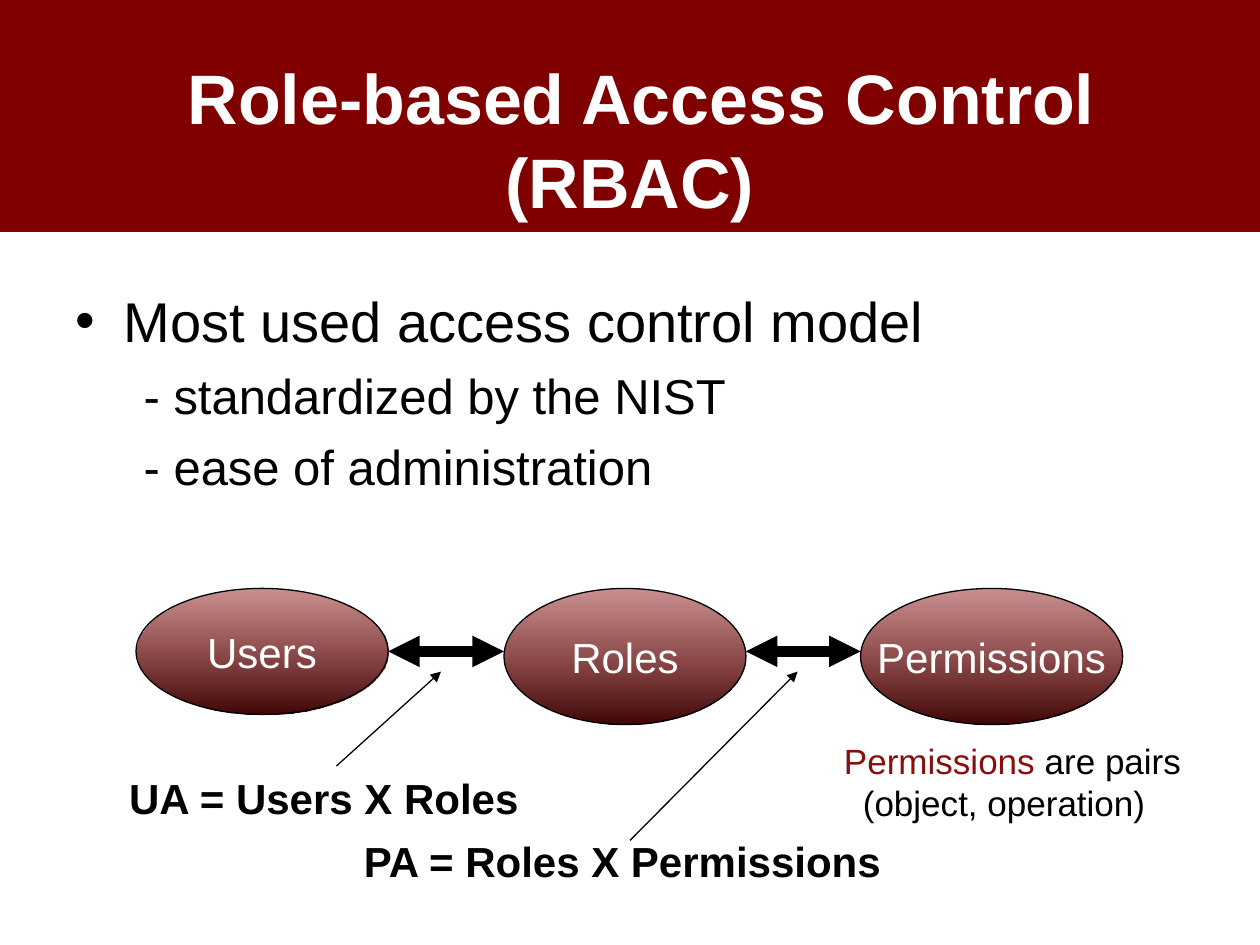
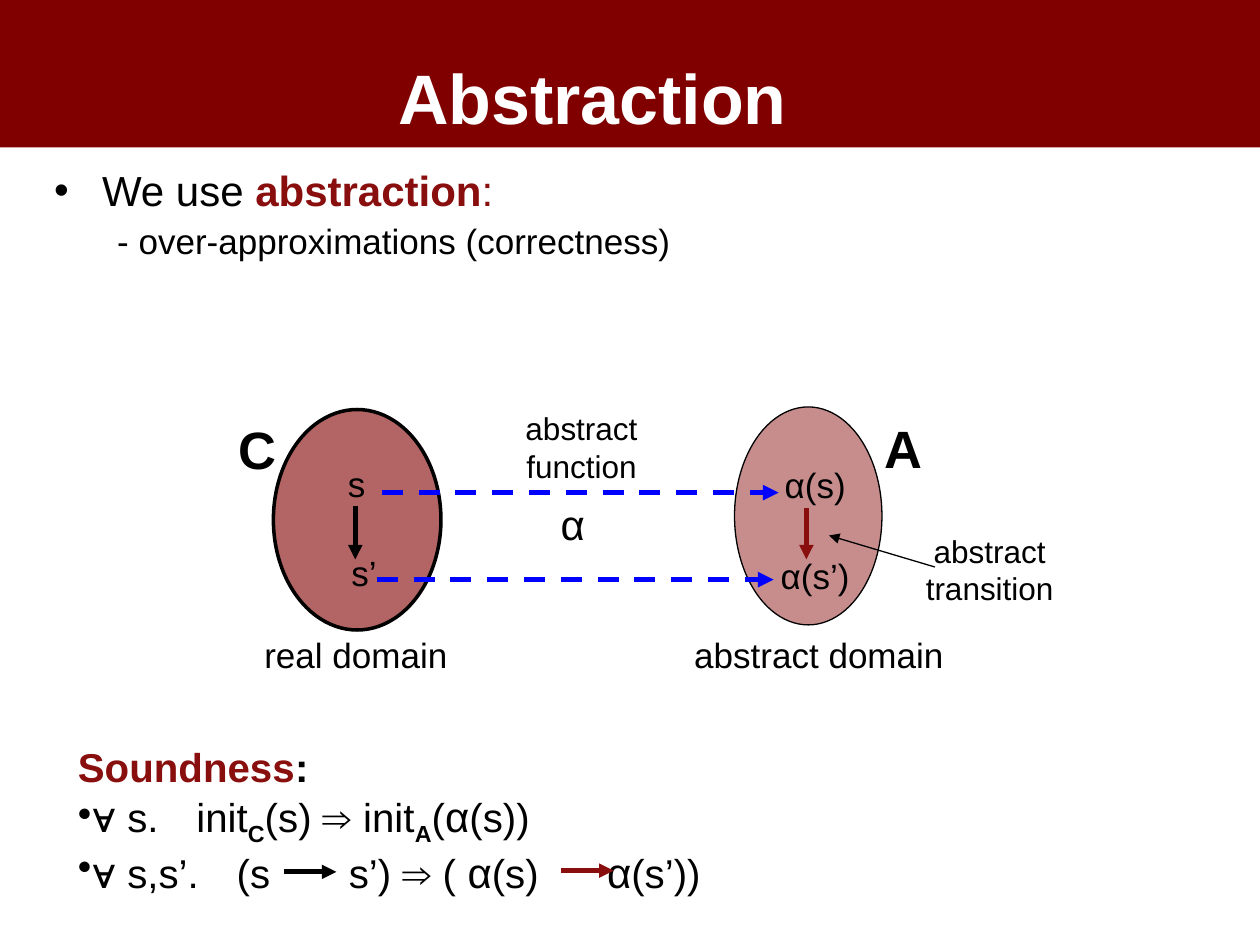
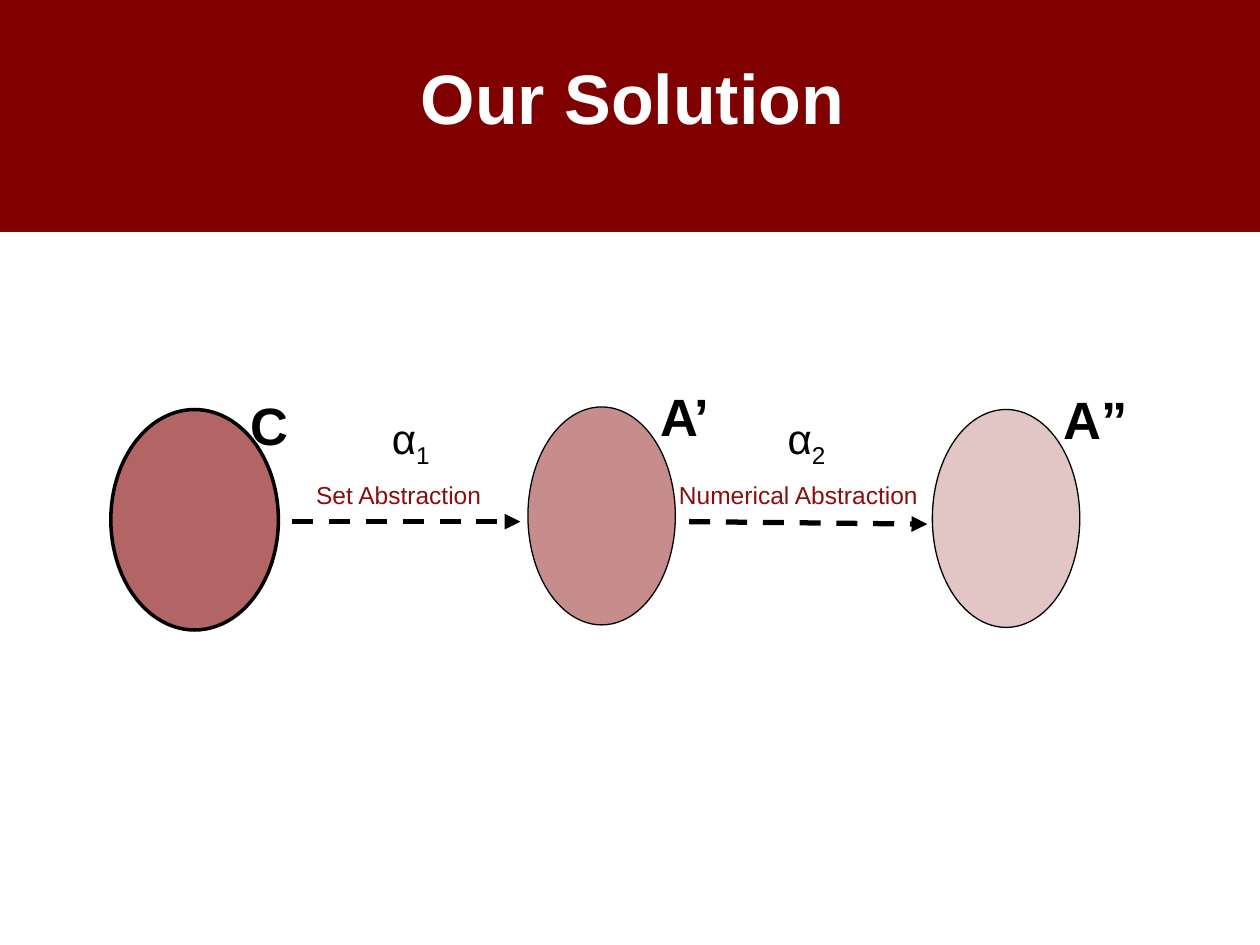
from dataclasses import dataclass

from lxml import etree
from pptx import Presentation
from pptx.dml.color import RGBColor
from pptx.enum.dml import MSO_LINE
from pptx.enum.shapes import MSO_CONNECTOR, MSO_SHAPE
from pptx.enum.text import MSO_ANCHOR, MSO_AUTO_SIZE, PP_ALIGN
from pptx.oxml.ns import qn
from pptx.util import Inches, Pt

LEFT, CENTER = PP_ALIGN.LEFT, PP_ALIGN.CENTER
TOP, MIDDLE = MSO_ANCHOR.TOP, MSO_ANCHOR.MIDDLE
OVAL, STRAIGHT = MSO_SHAPE.OVAL, MSO_CONNECTOR.STRAIGHT
NO_AUTOFIT, DASH = MSO_AUTO_SIZE.NONE, MSO_LINE.DASH


@dataclass(frozen=True)
class Theme:
    font: str = "Arial"
    band: str = "800000"
    accent: str = "890E0E"
    shade: str = "3F0606"
    arrow: str = "0000FF"
    ink: str = "000000"
    paper: str = "FFFFFF"
    title: int = 40
    domain: int = 30
    large: int = 24
    sound: int = 23
    label: int = 20
    note: int = 18
    caption: int = 14
    thin: float = 0.75
    outline: float = 2
    medium: float = 2.75
    mapping: float = 3
    thick: float = 6
    gradient_alpha: int = 46


THEME = Theme()
WIDTH, HEIGHT = 10, 7.5
INSET_X, INSET_Y = 0.1, 0.05
TITLE_TOP = 0.43
LINE_FACTOR = 1.2

ACCENT = {"color": THEME.accent}
PLAIN = {"bold": False}
SUB = {"base": -25000}
BOLD_SUB = {"bold": True, "base": -25000}
ALPHA = {"size": THEME.large}

TITLES = [
    {"lines": ["Role-based Access Control", "(RBAC)"], "height": 1.84, "indent": 1.39},
    {"lines": ["Abstraction"], "height": 1.17, "indent": 3.06},
    {"lines": ["Our Solution"], "height": 1.84, "indent": 3.24},
]

RBAC_BODY = [
    {"spans": ["Most used access control model"], "size": 32, "margin": 0.38, "hang": -0.38, "bullet": "•"},
    {"spans": ["- standardized by the NIST"], "size": 28, "margin": 0.54, "before": 7},
    {"spans": ["- ease of administration"], "size": 28, "margin": 0.54, "before": 7},
]
RBAC_SETS = [
    ("Users", 1.08, 2, 1),
    ("Roles", 4, 1.92, 1.08),
    ("Permissions", 6.83, 2.08, 1.08),
]
RBAC_SET_TOP, RBAC_ARROW_Y = 4.67, 5.17
RBAC_RELATIONS = [
    ("UA = Users X Roles", 0.92, 6.08, 3.3),
    ("PA = Roles X Permissions", 2.77, 6.58, 4.34),
]
RBAC_POINTERS = [((2.67, 6.08), (3.5, 5.33)), ((5, 6.67), (6.33, 5.33))]
PERMISSION_NOTE = [
    {"spans": [("Permissions ", ACCENT), "are pairs"]},
    {"spans": ["(object, operation)"], "margin": 0.15},
]

ABSTRACTION_BODY = [
    {"spans": ["We use ", ("abstraction", {**ACCENT, "bold": True}), (":", ACCENT)],
     "size": 24, "margin": 0.38, "hang": -0.38, "bullet": "•", "spacing": 0.9},
    {"spans": ["- over-approximations (correctness)"],
     "size": 20, "level": 1, "margin": 0.5, "before": 5, "spacing": 0.9},
]
SOUNDNESS = [
    {"spans": [("Soundness", ACCENT), ":"], "bold": True},
    {"spans": ["∀ s.\tinit", ("C", BOLD_SUB), "(s) ⇒ init", ("A", BOLD_SUB), "(", ("α", ALPHA), "(s))"],
     "bullet": "•", "tabs": [0.94]},
    {"spans": ["∀ s,s’.\t(s\ts’) ⇒ ( ", ("α", ALPHA), "(s)\t", ("α", ALPHA), "(s’))"],
     "bullet": "•", "tabs": [1.26, 2.15, 4.2]},
]
ABSTRACTION_LABELS = [
    (["real domain"], 2, 4.98, 1.65, THEME.label),
    (["abstract domain"], 5.41, 4.98, 2.18, THEME.label),
    (["α"], 4.34, 3.91, 0.41, THEME.large),
    (["s"], 2.66, 3.62, 0.34, THEME.label),
    (["s’"], 2.59, 4.33, 0.6, THEME.label),
    (["α(s)"], 6.12, 3.63, 0.7, THEME.label),
    (["α(s’)"], 6.09, 4.35, 0.76, THEME.label),
    (["abstract", "function"], 4.07, 3.2, 1.09, THEME.note),
    (["abstract", "transition"], 7.25, 4.17, 1.21, THEME.note),
]
ABSTRACTION_ARROWS = [
    ((2.25, 6.92), (2.67, 6.92), THEME.ink, THEME.medium, False),
    ((4.45, 6.91), (4.87, 6.91), THEME.accent, THEME.medium, False),
    ((2.82, 4.02), (2.82, 4.44), THEME.ink, THEME.medium, False),
    ((6.4, 4.03), (6.4, 4.44), THEME.accent, THEME.medium, False),
    ((3.03, 3.91), (6.18, 3.91), THEME.arrow, THEME.mapping, True),
    ((2.99, 4.6), (6.14, 4.6), THEME.arrow, THEME.mapping, True),
    ((7.42, 4.5), (6.58, 4.25), THEME.ink, THEME.thin, False),
]

DOMAIN_STYLES = {
    "real": (1.33, 1.75, 64, THEME.outline),
    "abstract": (1.17, 1.73, 47, THEME.thin),
    "numeric": (1.17, 1.73, 24, THEME.thin),
}
ABSTRACTION_DOMAINS = [
    ("abstract", 5.83, 3.23, "A", 6.92, 3.25, 0.5),
    ("real", 2.17, 3.25, "C", 1.79, 3.26, 0.5),
]
SOLUTION_DOMAINS = [
    ("real", 0.88, 3.25, "C", 1.89, 3.07, 0.5),
    ("abstract", 4.19, 3.23, "A’", 5.13, 3, 0.61),
    ("numeric", 7.4, 3.25, "A”", 8.34, 3.02, 0.71),
]
SOLUTION_STEPS = [
    ("1", 3, "Set Abstraction", 2.41, 1.52, (2.32, 4.14), (4.13, 4.14)),
    ("2", 6.14, "Numerical Abstraction", 5.29, 2.11, (5.47, 4.14), (7.36, 4.16)),
]


def rgb(color):
    return RGBColor.from_string(color)


def inches(*lengths):
    return [Inches(length) for length in lengths]


def write_paragraph(para, spans, size, color=THEME.ink, bold=False, align=LEFT, margin=0, hang=0,
                    bullet=None, tabs=(), before=0, spacing=None, level=0):
    para.level = level
    props = para._p.get_or_add_pPr()
    props.set("marL", str(Inches(margin)))
    props.set("indent", str(Inches(hang)))
    if bullet:
        etree.SubElement(props, qn("a:buChar")).set("char", bullet)
    else:
        etree.SubElement(props, qn("a:buNone"))
    if tabs:
        stops = etree.SubElement(props, qn("a:tabLst"))
        for stop in tabs:
            etree.SubElement(stops, qn("a:tab"), pos=str(Inches(stop)), algn="l")
    para.alignment = align
    para.space_before = Pt(before)
    if spacing:
        para.line_spacing = spacing
    para.font.name = THEME.font
    para.font.size = Pt(size)
    para.font.bold = bold
    para.font.color.rgb = rgb(color)
    for span in spans:
        text, style = (span, {}) if isinstance(span, str) else span
        run = para.add_run()
        run.text = text
        if "color" in style:
            run.font.color.rgb = rgb(style["color"])
        if "bold" in style:
            run.font.bold = style["bold"]
        if "size" in style:
            run.font.size = Pt(style["size"])
        if "base" in style:
            run._r.get_or_add_rPr().set("baseline", str(style["base"]))


def write_text(box, paragraphs, anchor=TOP, wrap=True, top_inset=INSET_Y, **shared):
    frame = box.text_frame
    frame.auto_size = NO_AUTOFIT
    frame.word_wrap = wrap
    frame.vertical_anchor = anchor
    frame.margin_left = frame.margin_right = Inches(INSET_X)
    frame.margin_top, frame.margin_bottom = inches(top_inset, INSET_Y)
    for index, paragraph in enumerate(paragraphs):
        para = frame.add_paragraph() if index else frame.paragraphs[0]
        write_paragraph(para, **{**shared, **paragraph})


def place(shape, left, top, width, height):
    shape.left, shape.top, shape.width, shape.height = inches(left, top, width, height)


def add_label(page, paragraphs, left, top, width, size, wrap=False, anchor=MIDDLE, **shared):
    height = sum(para.get("size", size) for para in paragraphs) * LINE_FACTOR / 72 + 2 * INSET_Y
    box = page.shapes.add_textbox(*inches(left, top, width, height))
    write_text(box, paragraphs, anchor, wrap, size=size, **shared)


def lines_of(*texts):
    return [{"spans": [text]} for text in texts]


def set_alpha(color_element, percent):
    etree.SubElement(color_element, qn("a:alpha")).set("val", str(percent * 1000))


def add_ellipse(page, left, top, width, height, weight):
    ellipse = page.shapes.add_shape(OVAL, *inches(left, top, width, height))
    ellipse.shadow.inherit = False
    ellipse.line.color.rgb = rgb(THEME.ink)
    ellipse.line.width = Pt(weight)
    return ellipse


def add_arrow(page, start, end, color=THEME.ink, weight=THEME.thin, dashed=False, double=False):
    arrow = page.shapes.add_connector(STRAIGHT, *inches(*start, *end))
    arrow.line.color.rgb = rgb(color)
    arrow.line.width = Pt(weight)
    if dashed:
        arrow.line.dash_style = DASH
    outline = arrow.line._get_or_add_ln()
    for tag in ("a:headEnd", "a:tailEnd") if double else ("a:tailEnd",):
        etree.SubElement(outline, qn(tag)).set("type", "triangle")
    etree.SubElement(arrow.element.spPr, qn("a:effectLst"))


def add_domain(page, kind, left, top, name, name_left, name_top, name_width):
    width, height, alpha, weight = DOMAIN_STYLES[kind]
    ellipse = add_ellipse(page, left, top, width, height, weight)
    ellipse.fill.solid()
    ellipse.fill.fore_color.rgb = rgb(THEME.accent)
    set_alpha(ellipse.element.spPr.find(qn("a:solidFill"))[0], alpha)
    add_label(page, lines_of(name), name_left, name_top, name_width, THEME.domain,
              bold=True, align=CENTER)


def add_page(deck, layout, lines, height, indent):
    page = deck.slides.add_slide(deck.slide_layouts[layout])
    title = page.shapes.title
    place(title, 0, 0, WIDTH, height)
    title.fill.solid()
    title.fill.fore_color.rgb = rgb(THEME.band)
    paragraphs = lines_of(*lines)
    paragraphs[0]["margin"] = indent
    for paragraph in paragraphs[1:]:
        paragraph["align"] = CENTER
    write_text(title, paragraphs, top_inset=TITLE_TOP, size=THEME.title, color=THEME.paper, bold=True)
    return page


def add_body(page, paragraphs, left, top, width, height):
    body = page.placeholders[1]
    place(body, left, top, width, height)
    write_text(body, paragraphs)


def build_rbac(deck):
    page = add_page(deck, 1, **TITLES[0])
    add_body(page, RBAC_BODY, 0.5, 2.22, 9, 2.3)
    for name, left, width, height in RBAC_SETS:
        ellipse = add_ellipse(page, left, RBAC_SET_TOP, width, height, THEME.thin)
        ellipse.fill.gradient()
        ellipse.fill.gradient_angle = 270
        first, last = ellipse.fill.gradient_stops
        first.color.rgb, last.color.rgb = rgb(THEME.accent), rgb(THEME.shade)
        first.position, last.position = 0, 1
        set_alpha(ellipse.element.spPr.find(".//" + qn("a:srgbClr")), THEME.gradient_alpha)
        write_text(ellipse, lines_of(name), MIDDLE, False,
                   size=THEME.large, color=THEME.paper, align=CENTER)
    for (_, left, width, _), (_, next_left, _, _) in zip(RBAC_SETS, RBAC_SETS[1:]):
        add_arrow(page, (left + width, RBAC_ARROW_Y), (next_left, RBAC_ARROW_Y),
                  weight=THEME.thick, double=True)
    add_label(page, PERMISSION_NOTE, 6.6, 5.82, 2.87, THEME.label, anchor=TOP)
    for text, left, top, width in RBAC_RELATIONS:
        add_label(page, lines_of(text), left, top, width, THEME.large, bold=True, align=CENTER)
    for start, end in RBAC_POINTERS:
        add_arrow(page, start, end)


def build_abstraction(deck):
    page = add_page(deck, 1, **TITLES[1])
    add_body(page, ABSTRACTION_BODY, 0.33, 1.3, 9.5, 1.8)
    for domain in ABSTRACTION_DOMAINS:
        add_domain(page, *domain)
    add_label(page, SOUNDNESS, 0.52, 5.88, 6.84, THEME.sound, wrap=True)
    for texts, left, top, width, size in ABSTRACTION_LABELS:
        add_label(page, lines_of(*texts), left, top, width, size, align=CENTER)
    for arrow in ABSTRACTION_ARROWS:
        add_arrow(page, *arrow)


def build_solution(deck):
    page = add_page(deck, 5, **TITLES[2])
    for domain in SOLUTION_DOMAINS:
        add_domain(page, *domain)
    for index, symbol_left, name, left, width, start, end in SOLUTION_STEPS:
        symbol = [{"spans": ["α", (index, SUB)]}]
        add_label(page, symbol, symbol_left, 3.25, 0.52, THEME.large, align=CENTER)
        add_label(page, lines_of(name), left, 3.76, width, THEME.caption, color=THEME.accent)
        add_arrow(page, start, end, weight=THEME.mapping, dashed=True)


def main():
    deck = Presentation()
    deck.slide_width, deck.slide_height = inches(WIDTH, HEIGHT)
    build_rbac(deck)
    build_abstraction(deck)
    build_solution(deck)
    deck.save("out.pptx")


if __name__ == "__main__":
    main()
